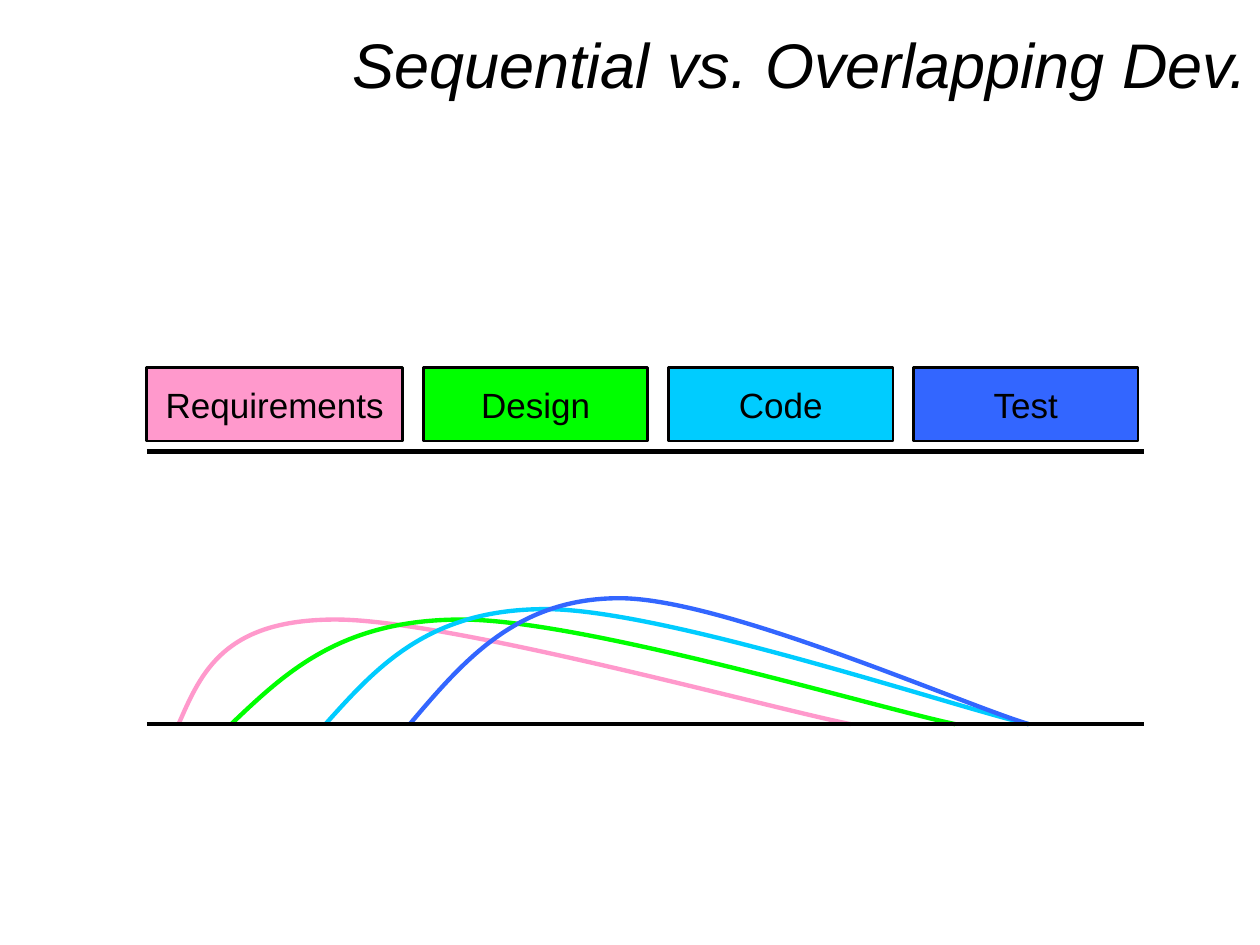
"""Build a slide comparing sequential and overlapping development phases."""
import lxml.etree
import pptx
import pptx.dml.color
import pptx.enum.shapes
import pptx.enum.text
import pptx.oxml.ns
import pptx.util

Cm = pptx.util.Cm
Pt = pptx.util.Pt
qn = pptx.oxml.ns.qn
RGBColor = pptx.dml.color.RGBColor
Align = pptx.enum.text.PP_ALIGN
BLACK = RGBColor(0x00, 0x00, 0x00)
PINK = RGBColor(0xFF, 0x99, 0xCC)
GREEN = RGBColor(0x00, 0xFF, 0x00)
CYAN = RGBColor(0x00, 0xCC, 0xFF)
BLUE = RGBColor(0x33, 0x66, 0xFF)

TITLE = "Sequential vs. Overlapping Dev."
PHASES = [
    ("Requirements", PINK, 5.16),
    ("Design", GREEN, 4.52),
    ("Code", CYAN, 4.52),
    ("Test", BLUE, 4.52),
]
LEFT, RIGHT = 2.96, 23.07
BOX_TOP, BOX_HEIGHT, BOX_GAP = 7.41, 1.48, 0.42
SEQUENCE_Y, OVERLAP_Y = 9.1, 14.6
CURVES = [
    (PINK, 3.6, (4.52, 12.49), (6.77, 12.49), (9.04, 12.49), (15.42, 14.25), 17.15),
    (GREEN, 4.66, (6.88, 12.49), (9.31, 12.49), (11.75, 12.49), (17.6, 14.25), 19.26),
    (CYAN, 6.56, (8.64, 12.28), (11, 12.28), (13.36, 12.28), (19.13, 14.22), 20.74),
    (BLUE, 8.26, (10.41, 12.06), (12.49, 12.06), (14.57, 12.06), (19.33, 14.17), 20.74),
]
TITLE_FONT = {"name": "Arial", "size": Pt(36), "italic": True}
PHASE_FONT = {"name": "Arial", "size": Pt(20)}


def write(box, text, font, alignment):
    frame = box.text_frame
    frame.word_wrap = True
    frame.vertical_anchor = pptx.enum.text.MSO_ANCHOR.MIDDLE
    para = frame.paragraphs[0]
    para.alignment = alignment
    span = para.add_run()
    span.text = text
    for key, value in font.items():
        setattr(span.font, key, value)
    span.font.color.rgb = BLACK
    return para


def draw_outline(shape, color, width):
    shape.line.color.rgb = color
    shape.line.width = Pt(width)


def bend(curve):
    segments = list(curve._element.iter(qn("a:lnTo")))
    for index in range(0, len(segments), 3):
        bezier = lxml.etree.Element(qn("a:cubicBezTo"))
        segments[index].addprevious(bezier)
        for segment in segments[index:index + 3]:
            bezier.append(segment[0])
            segment.getparent().remove(segment)


def add_curve(page, color, start_x, rise, peak, fall, landing, end_x):
    start, end = (start_x, OVERLAP_Y), (end_x, OVERLAP_Y)
    middle = tuple((a + b) / 2 for a, b in zip(start, rise))
    points = [(Cm(x), Cm(y)) for x, y in (middle, rise, peak, fall, landing, end)]
    builder = page.shapes.build_freeform(Cm(start_x), Cm(OVERLAP_Y))
    builder.add_line_segments(points, close=False)
    curve = builder.convert_to_shape()
    bend(curve)
    curve.shadow.inherit = False
    curve.fill.background()
    draw_outline(curve, color, 2.5)


def add_baseline(page, y):
    line = page.shapes.add_connector(
        pptx.enum.shapes.MSO_CONNECTOR.STRAIGHT, Cm(LEFT), Cm(y), Cm(RIGHT), Cm(y)
    )
    draw_outline(line, BLACK, 2.5)
    lxml.etree.SubElement(line._element.spPr, qn("a:effectLst"))


def add_phases(page):
    left = LEFT
    for name, color, width in PHASES:
        box = page.shapes.add_shape(
            pptx.enum.shapes.MSO_SHAPE.RECTANGLE,
            Cm(left), Cm(BOX_TOP), Cm(width), Cm(BOX_HEIGHT),
        )
        box.shadow.inherit = False
        box.fill.solid()
        box.fill.fore_color.rgb = color
        draw_outline(box, BLACK, 1.5)
        write(box, name, PHASE_FONT, Align.CENTER)
        left += width + BOX_GAP


deck = pptx.Presentation()
deck.slide_width, deck.slide_height = Cm(25.4), Cm(19.05)
page = deck.slides.add_slide(deck.slide_layouts[6])
title = page.shapes.add_textbox(Cm(5.5), Cm(0), Cm(19.9), Cm(2.75))
write(title, TITLE, TITLE_FONT, Align.RIGHT).line_spacing = 0.9
for curve_values in CURVES:
    add_curve(page, *curve_values)
for baseline in (OVERLAP_Y, SEQUENCE_Y):
    add_baseline(page, baseline)
add_phases(page)
deck.save("out.pptx")
